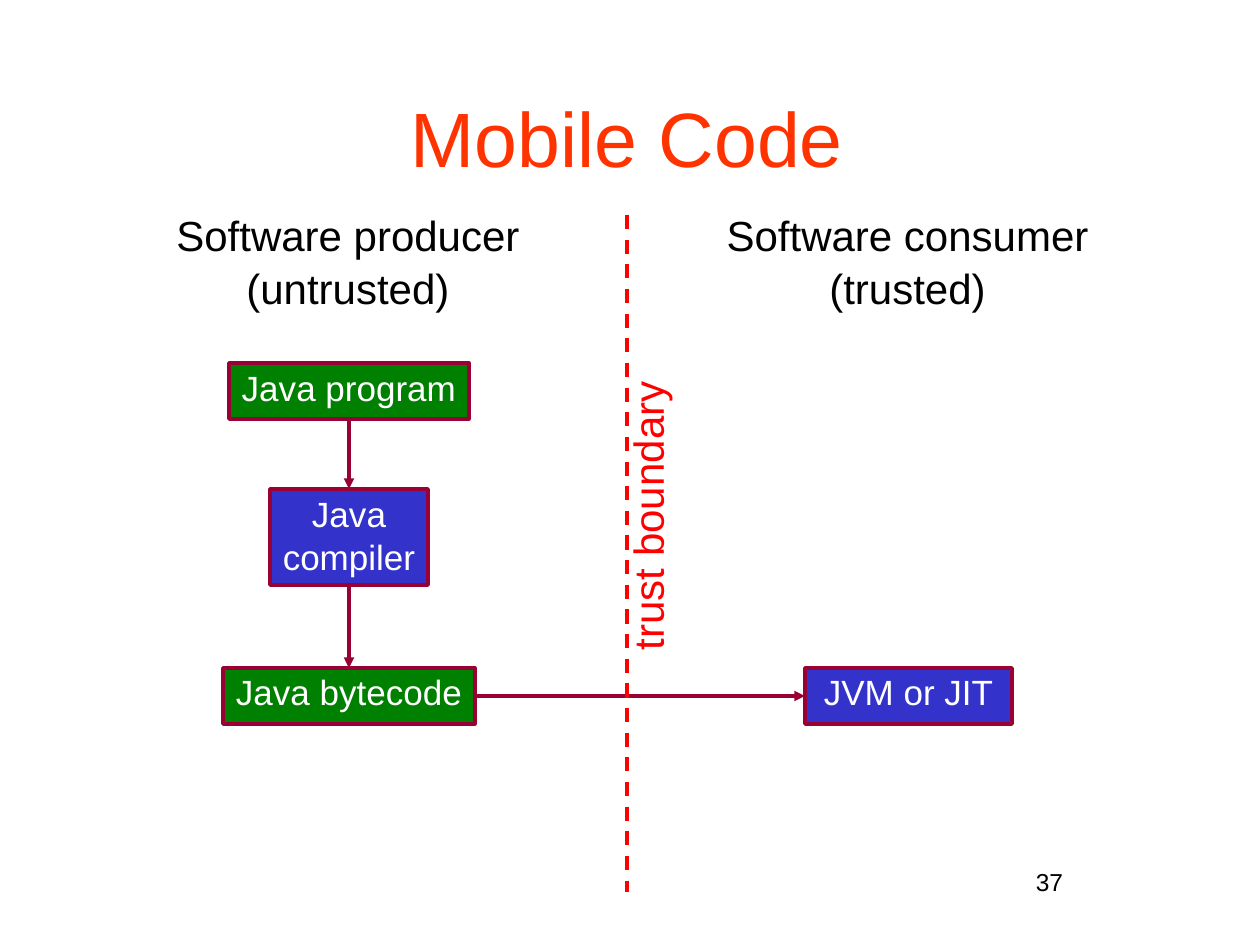
from pptx import Presentation
from pptx import util as u
from pptx.dml.color import RGBColor
from pptx.enum import dml, shapes, text
from pptx.oxml.ns import qn
from lxml import etree

PX = 914400 / 126
HUE = {"title": "FF3300", "code": "008000", "tool": "3333CC", "edge": "990033",
       "trust": "FF0000", "ink": "000000", "light": "FFFFFF"}


def write(shape, words, size=20, hue="ink", align="CENTER", anchor="TOP",
          inset=(0, 3, 5, 0), margin=5):
    frame = shape.text_frame
    frame.word_wrap = True
    frame.auto_size = text.MSO_AUTO_SIZE.NONE
    frame.vertical_anchor = text.MSO_ANCHOR[anchor]
    sides = [round(n * PX) for n in inset]
    frame.margin_left, frame.margin_top, frame.margin_right, frame.margin_bottom = sides
    frame.text = words
    for i, para in enumerate(frame.paragraphs):
        para.alignment = text.PP_ALIGN[align]
        para._p.get_or_add_pPr().set("marL", str(round(margin * PX)))
        para.space_before = u.Pt(1 if i else 0)
        para.font.size = u.Pt(size)
        para.font.name = "Arial"
        para.font.color.rgb = RGBColor.from_string(HUE[hue])


def draw(hue, ends=(0, 0, 0, 0)):
    line = slide.shapes.add_connector(
        shapes.MSO_CONNECTOR.STRAIGHT, *[round(n * PX) for n in ends])
    line.line.color.rgb = RGBColor.from_string(HUE[hue])
    line.line.width = u.Pt(2)
    etree.SubElement(line._element.spPr, qn("a:effectLst"))
    return line


deck = Presentation()
deck.slide_width, deck.slide_height = u.Inches(10), u.Inches(7.5)
slide = deck.slides.add_slide(deck.slide_layouts[5])

title = slide.shapes.title
title.left, title.top, title.width, title.height = [
    round(n * PX) for n in (94, 0, 1071, 273)]
write(title, "Mobile Code", size=44, hue="title", anchor="MIDDLE", inset=(8, 8, 18, 8))

boxes = {}
for name, words, hue, place in [
    ("source", "Java program", "code", (229, 363, 240, 56)),
    ("build", "Java\ncompiler", "tool", (270, 489, 158, 96)),
    ("bytes", "Java bytecode", "code", (223, 668, 252, 56)),
    ("run", "JVM or JIT", "tool", (805, 668, 207, 56)),
]:
    box = slide.shapes.add_shape(
        shapes.MSO_SHAPE.RECTANGLE, *[round(n * PX) for n in place])
    box.shadow.inherit = False
    box.fill.solid()
    box.fill.fore_color.rgb = RGBColor.from_string(HUE[hue])
    box.line.color.rgb = RGBColor.from_string(HUE["edge"])
    box.line.width = u.Pt(2)
    write(box, words, hue="light")
    boxes[name] = box

for start, out, end, into in [
    ("source", 2, "build", 0), ("build", 2, "bytes", 0), ("bytes", 3, "run", 1),
]:
    arrow = draw("edge")
    arrow.begin_connect(boxes[start], out)
    arrow.end_connect(boxes[end], into)
    etree.SubElement(arrow.line._get_or_add_ln(), qn("a:tailEnd"), type="triangle")

wall = draw("trust", (627, 215, 627, 892))
wall.line.dash_style = dml.MSO_LINE.DASH

for words, place, turn, look in [
    ("Software producer\n(untrusted)", (166, 207, 364, 111), 0, dict(size=24)),
    ("Software consumer\n(trusted)", (716, 207, 383, 111), 0, dict(size=24)),
    ("trust boundary", (505, 479, 290, 62), 270,
     dict(size=24, hue="trust", align="LEFT")),
    ("37", (1028, 861, 43, 42), 0,
     dict(size=14, anchor="MIDDLE", inset=(0, 0, 0, 0), margin=0)),
]:
    label = slide.shapes.add_textbox(*[round(n * PX) for n in place])
    label.rotation = turn
    write(label, words, **look)

deck.save("out.pptx")
